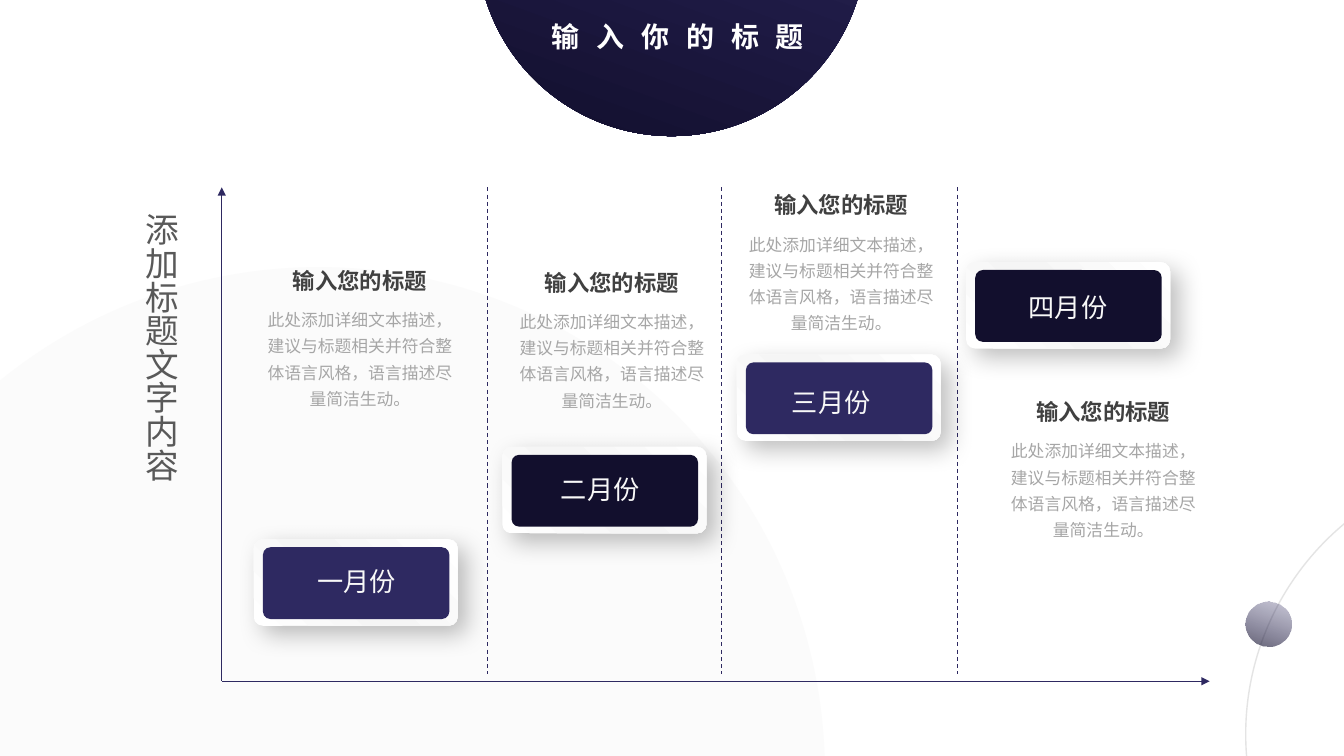
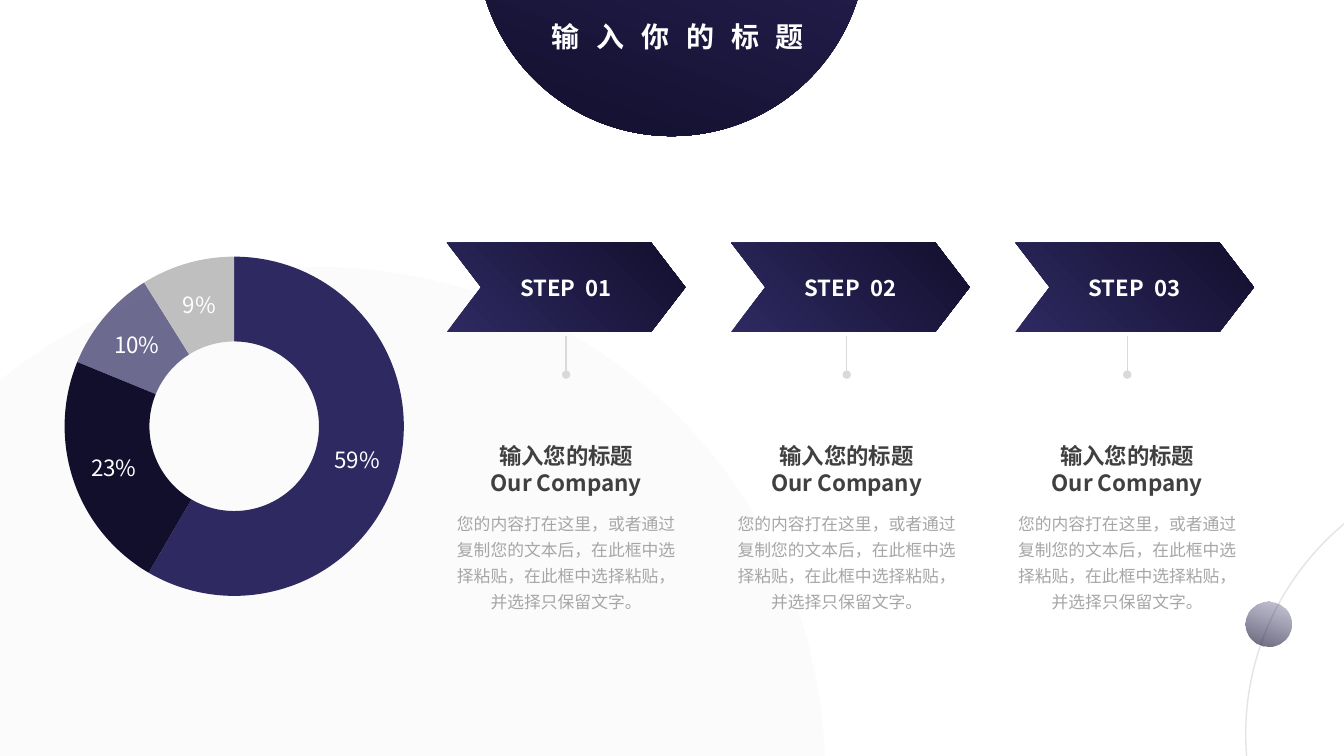
from dataclasses import dataclass
from typing import Optional

from lxml.etree import SubElement
from pptx import Presentation
from pptx.chart.data import CategoryChartData
from pptx.dml.color import RGBColor
from pptx.enum.chart import XL_CHART_TYPE
from pptx.enum.dml import MSO_LINE
from pptx.enum.shapes import MSO_CONNECTOR, MSO_SHAPE
from pptx.enum.text import MSO_ANCHOR, MSO_AUTO_SIZE, PP_ALIGN
from pptx.oxml.ns import qn
from pptx.util import Emu, Pt

# Grid: 160 columns by 90 rows of square cells
COLUMNS, ROWS = 160, 90
CELL = 76200

# Shared style
FONT = "Noto Sans CJK SC"
INDIGO, NIGHT, WHITE = "2E2961", "120F2D", "FFFFFF"
HEADING, BODY, STEM = "404040", "A6A6A6", "D9D9D9"
HEAD_SIZE, BODY_SIZE = 16, 12
PAGE_TITLE = "输入你的标题"


@dataclass(frozen=True)
class Area:
    left: float
    top: float
    width: float
    height: float

    def emu(self) -> tuple:
        return tuple(cells(v) for v in (self.left, self.top, self.width, self.height))


@dataclass(frozen=True)
class Stop:
    position: int
    color: str
    opacity: int = 100


@dataclass(frozen=True)
class Month:
    name: str
    left: float
    label_left: float
    label_top: float
    caption_center: float
    caption_top: float


@dataclass(frozen=True)
class Slice:
    value: int
    color: str
    opacity: int = 100


DEEP = (Stop(0, INDIGO), Stop(100, NIGHT))
MISTY = (Stop(0, INDIGO, 26), Stop(100, NIGHT, 65))
PAPER = (Stop(0, WHITE), Stop(47, "F5F5F5"), Stop(100, WHITE))

MONTHS = (
    Month("一月份", 30.2, 32.9, 66.7, 42.85, 31.2),
    Month("二月份", 59.8, 61.9, 55.7, 72.85, 31.4),
    Month("三月份", 87.7, 89.4, 45.4, 100.15, 22.2),
    Month("四月份", 115, 117.6, 34.1, 131.35, 46.8),
)
SLICES = (Slice(59, INDIGO), Slice(23, NIGHT), Slice(10, INDIGO, 69), Slice(9, "BFBFBF"))
MONTH_BODY = "此处添加详细文本描述，建议与标题相关并符合整体语言风格，语言描述尽量简洁生动。"
STEP_BODY = "您的内容打在这里，或者通过复制您的文本后，在此框中选择粘贴，在此框中选择粘贴，并选择只保留文字。"


def cells(count: float) -> Emu:
    return Emu(round(count * CELL))


def rgb(color: str) -> RGBColor:
    return RGBColor.from_string(color)


# Fills and lines
def add_color(parent, color: str, opacity: int = 100) -> None:
    node = SubElement(parent, qn("a:srgbClr"), val=color)
    if opacity < 100:
        SubElement(node, qn("a:alpha"), val=str(opacity * 1000))


def fill_solid(fill, color: str, opacity: int = 100) -> None:
    fill.solid()
    fill.fore_color.rgb = rgb(color)
    if opacity < 100:
        node = fill.fore_color._xFill.find(qn("a:srgbClr"))
        SubElement(node, qn("a:alpha"), val=str(opacity * 1000))


def fill_gradient(shape, stops: tuple, angle: int) -> None:
    shape.fill.gradient()
    gradient = shape.element.spPr.find(qn("a:gradFill"))
    for child in list(gradient):
        gradient.remove(child)
    stop_list = SubElement(gradient, qn("a:gsLst"))
    for stop in stops:
        node = SubElement(stop_list, qn("a:gs"), pos=str(stop.position * 1000))
        add_color(node, stop.color, stop.opacity)
    SubElement(gradient, qn("a:lin"), ang=str(angle * 60000), scaled="0")


def add_plain_shape(page, kind, area: Area, adjust: Optional[float] = None):
    shape = page.shapes.add_shape(kind, *area.emu())
    shape.shadow.inherit = False
    shape.line.fill.background()
    if adjust is not None:
        shape.adjustments[0] = adjust
    return shape


def add_shadow(shape) -> None:
    effects = shape.element.spPr.find(qn("a:effectLst"))
    shadow = SubElement(effects, qn("a:outerShdw"), blurRad=str(Pt(18)), dist=str(Pt(9)),
                        dir=str(45 * 60000), algn="tl", rotWithShape="0")
    add_color(shadow, "000000", 25)


def add_line(page, start: tuple, end: tuple, color: str, width: float,
             tail: str = "", dashed: bool = False) -> None:
    line = page.shapes.add_connector(MSO_CONNECTOR.STRAIGHT,
                                     *(cells(v) for v in (*start, *end)))
    line.line.color.rgb = rgb(color)
    line.line.width = Pt(width)
    if dashed:
        line.line.dash_style = MSO_LINE.DASH
    if tail:
        SubElement(line.line._get_or_add_ln(), qn("a:tailEnd"), type=tail)
    SubElement(line.element.spPr, qn("a:effectLst"))


# Text
def format_text(frame, size: float, color: str, bold: bool = False,
                align=PP_ALIGN.CENTER, spacing: Optional[float] = None) -> None:
    for para in frame.paragraphs:
        para.alignment = align
        if spacing:
            para.line_spacing = spacing
        for span in para.runs:
            span.font.size = Pt(size)
            span.font.bold = bold
            span.font.color.rgb = rgb(color)
            span.font.name = FONT
            SubElement(span._r.get_or_add_rPr(), qn("a:ea"), typeface=FONT)


def add_text(page, area: Area, text: str, size: float, color: str, **style):
    box = page.shapes.add_textbox(*area.emu())
    box.text_frame.word_wrap = True
    box.text_frame.text = text
    format_text(box.text_frame, size, color, **style)
    return box


def add_caption(page, center: float, top: float, head: str, head_area: tuple,
                body: str, body_width: float) -> None:
    head_width, head_height = head_area
    add_text(page, Area(center - head_width / 2, top, head_width, head_height),
             head, HEAD_SIZE, HEADING, bold=True)
    add_text(page, Area(center - body_width / 2, top + head_height, body_width, 13.8),
             body, BODY_SIZE, BODY, spacing=1.3)


# Page frame: title dome, ring with its dot, pale disc
def add_page(deck):
    page = deck.slides.add_slide(deck.slide_layouts[5])
    dome = add_plain_shape(page, MSO_SHAPE.OVAL, Area(56.75, -30.2, 46.4, 46.4))
    fill_gradient(dome, DEEP, 110)

    title = page.shapes.title
    dome.element.addnext(title.element)
    title.left, title.top, title.width, title.height = Area(54.5, 2.3, 52.4, 6.1).emu()
    frame = title.text_frame
    frame.text = PAGE_TITLE
    frame.auto_size = MSO_AUTO_SIZE.NONE
    frame.word_wrap = False
    frame.vertical_anchor = MSO_ANCHOR.TOP
    frame.margin_left = frame.margin_right = frame.margin_top = frame.margin_bottom = 0
    format_text(frame, 20, WHITE, bold=True)
    frame.paragraphs[0].runs[0]._r.get_or_add_rPr().set("spc", "1200")

    ring = add_plain_shape(page, MSO_SHAPE.OVAL, Area(148.3, 54.8, 65.2, 65.2))
    ring.fill.background()
    fill_solid(ring.line.fill, BODY, 30)
    ring.line.width = Pt(1)
    dot = add_plain_shape(page, MSO_SHAPE.OVAL, Area(148.3, 71.6, 5.4, 5.4))
    fill_gradient(dot, MISTY, 110)
    disc = add_plain_shape(page, MSO_SHAPE.OVAL, Area(-22.2, 31.8, 120.4, 120.4))
    fill_solid(disc.fill, "F2F2F2", 29)
    return page


# Page 1: months rising along two axes
def add_month(page, index: int, month: Month) -> None:
    top = 64.2 - 11 * index
    card = add_plain_shape(page, MSO_SHAPE.ROUNDED_RECTANGLE,
                           Area(month.left, top, 24.3, 10.3), 0.106)
    fill_gradient(card, PAPER, 315)
    add_shadow(card)
    plate = add_plain_shape(page, MSO_SHAPE.ROUNDED_RECTANGLE,
                            Area(month.left + 1.1, top + 0.95, 22.2, 8.55), 0.106)
    fill_solid(plate.fill, (INDIGO, NIGHT)[index % 2])
    add_text(page, Area(month.label_left, month.label_top, 19.1, 5.6),
             month.name, 18.7, "F8F8F8")
    add_caption(page, month.caption_center, month.caption_top, "输入您的标题",
                (25.3, 4.4), MONTH_BODY, 25.3)


def build_months(deck) -> None:
    page = add_page(deck)
    origin, axis_top = (26.4, 81.1), 22.3
    for end in ((origin[0], axis_top), (144, origin[1])):
        add_line(page, origin, end, INDIGO, 0.75, tail="triangle")
    for column in (58.05, 85.85, 114):
        add_line(page, (column, axis_top), (column, 80.2), INDIGO, 0.75, dashed=True)
    for index, month in enumerate(MONTHS):
        add_month(page, index, month)
    side = add_text(page, Area(15.2, 24.6, 8, 37.3), "添加标题文字内容", 24, "595959",
                    align=PP_ALIGN.LEFT)
    body = side.text_frame._txBody.bodyPr
    body.set("vert", "eaVert")
    side.text_frame.margin_left = side.text_frame.margin_right = cells(1.6)
    side.text_frame.margin_top = side.text_frame.margin_bottom = cells(0.8)


# Page 2: doughnut and three steps
def add_doughnut(page) -> None:
    data = CategoryChartData()
    data.categories = [str(number) for number in range(1, len(SLICES) + 1)]
    data.add_series("Series 1", [part.value for part in SLICES])
    chart = page.shapes.add_chart(XL_CHART_TYPE.DOUGHNUT,
                                  *Area(5.8, 28.9, 44.3, 43.7).emu(), data).chart
    chart.has_title = chart.has_legend = False
    chart.font.name = FONT
    chart.font.size = Pt(16)
    chart.font.color.rgb = rgb(WHITE)
    plot = chart.plots[0]
    plot.vary_by_categories = True
    for hole in chart.element.iter(qn("c:holeSize")):
        hole.set("val", "61")
    for index, part in enumerate(SLICES):
        look = plot.series[0].points[index].format
        fill_solid(look.fill, part.color, part.opacity)
        look.line.fill.background()
    labels = plot.series[0].data_labels
    labels.show_value = True
    labels.show_percentage = False
    labels.number_format = '0"%"'
    labels.number_format_is_linked = False
    labels.font.name = FONT
    labels.font.size = Pt(16)
    labels.font.color.rgb = rgb(WHITE)


def add_step(page, index: int) -> None:
    chevron = add_plain_shape(page, MSO_SHAPE.CHEVRON,
                              Area(53.2 + 33.84 * index, 28.9, 28.4, 10.6), 0.384)
    fill_gradient(chevron, DEEP, 315)
    frame = chevron.text_frame
    frame.vertical_anchor = MSO_ANCHOR.MIDDLE
    for part in ("STEP", " ", f"{index + 1:02d}"):
        frame.paragraphs[0].add_run().text = part
    format_text(frame, 15.8, WHITE, bold=True)
    frame.paragraphs[0].runs[1]._r.get_or_add_rPr().set("spc", "360")

    center = 67.4 + 33.4 * index
    add_line(page, (center, 40), (center, 44.6), STEM, 1, tail="oval")
    add_caption(page, center, 52.1, "输入您的标题\nOur Company", (24.7, 7.7),
                STEP_BODY, 28.7)


def build_steps(deck) -> None:
    page = add_page(deck)
    for index in range(3):
        add_step(page, index)
    add_doughnut(page)


def main() -> None:
    deck = Presentation()
    deck.slide_width, deck.slide_height = cells(COLUMNS), cells(ROWS)
    build_months(deck)
    build_steps(deck)
    deck.save("out.pptx")


if __name__ == "__main__":
    main()
